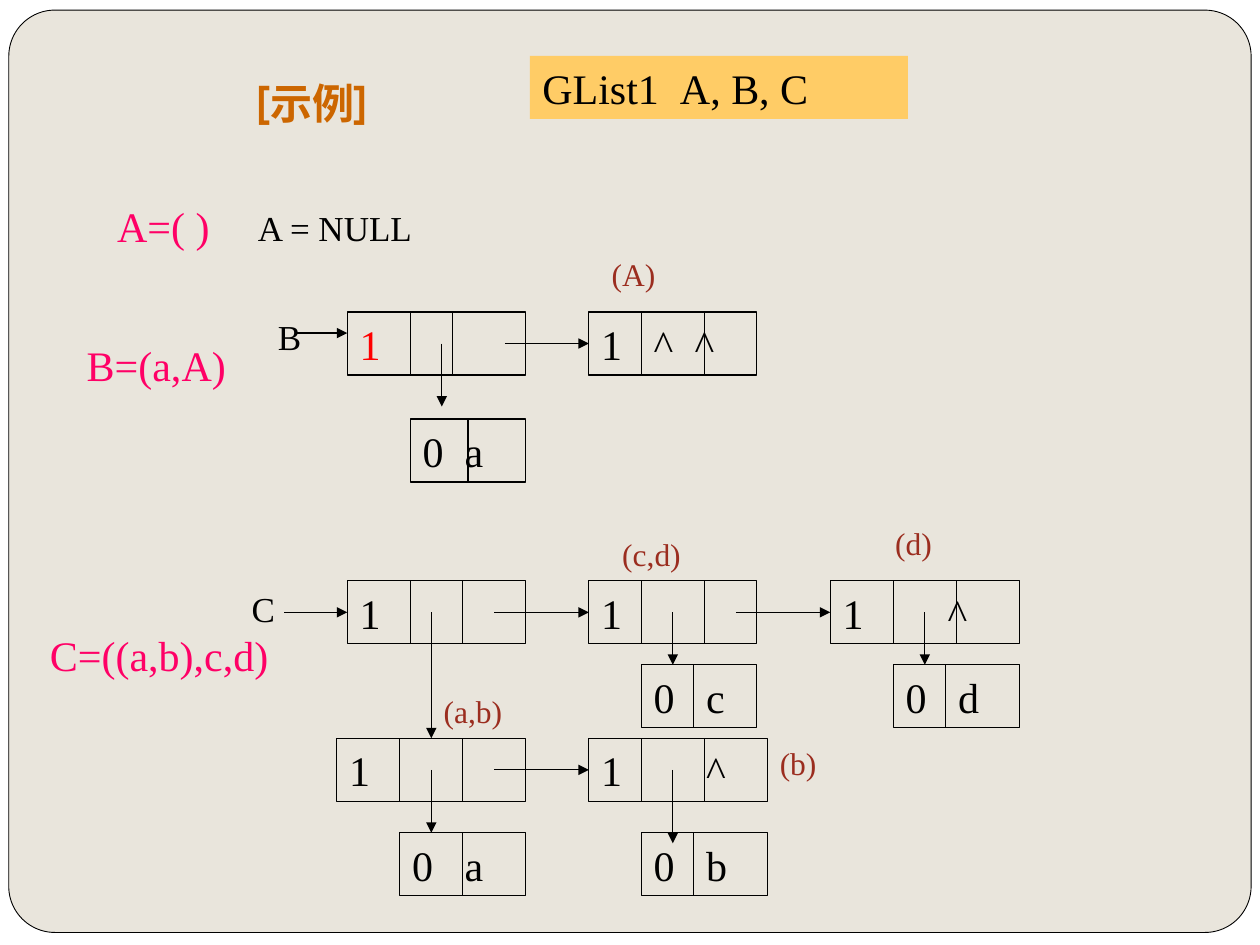
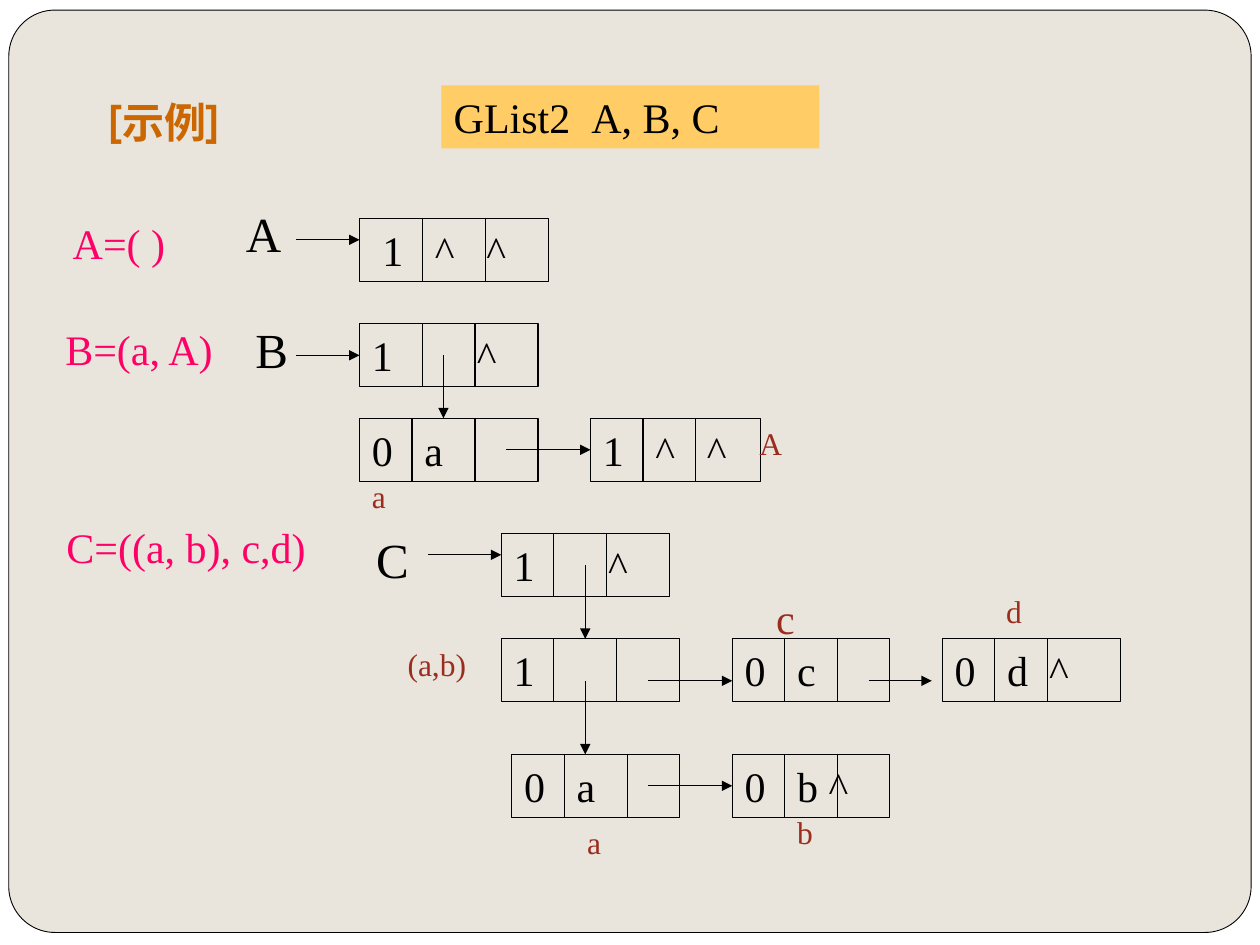
import pptx
import pptx.dml.color
import pptx.enum.shapes
import pptx.enum.text
import pptx.util
from pptx.oxml.ns import qn
from lxml import etree

COLORS = {
    "paper": "FFFFFF",
    "panel": "E9E5DC",
    "ink": "000000",
    "heading": "CC6600",
    "banner": "FFCC66",
    "formula": "FF0066",
    "sublist": "9B2D1F",
    "header_tag": "FF0000",
}
BODY_FONT = "Times New Roman"
TITLE_FONT = "Karla"
SLIDE_WIDTH, SLIDE_HEIGHT = 10, 7.5
UNITS_PER_INCH = 12
NODE_HEIGHT = 6
LINE_WIDTH = 0.75


def color(name):
    return pptx.dml.color.RGBColor.from_string(COLORS[name])


def units(value):
    return pptx.util.Inches(value / UNITS_PER_INCH)


class Board:
    def __init__(self, deck, left, top):
        self.slide = deck.slides.add_slide(deck.slide_layouts[6])
        self.left, self.top = pptx.util.Inches(left), pptx.util.Inches(top)
        background = self.slide.background.fill
        background.solid()
        background.fore_color.rgb = color("paper")
        self.add_panel()

    def place(self, column, row):
        return self.left + units(column), self.top + units(row)

    def add_panel(self):
        margin_x, margin_y = 0.007 * SLIDE_WIDTH, 0.0107 * SLIDE_HEIGHT
        panel = self.slide.shapes.add_shape(
            pptx.enum.shapes.MSO_SHAPE.ROUNDED_RECTANGLE,
            pptx.util.Inches(margin_x), pptx.util.Inches(margin_y),
            pptx.util.Inches(SLIDE_WIDTH - 2 * margin_x),
            pptx.util.Inches(0.976 * SLIDE_HEIGHT))
        panel.adjustments[0] = 0.05
        style_box(panel, "panel", 0.5)

    def box(self, column, row, width, fill=None, line=None):
        rectangle = self.slide.shapes.add_shape(
            pptx.enum.shapes.MSO_SHAPE.RECTANGLE,
            *self.place(column, row), units(width), units(NODE_HEIGHT))
        style_box(rectangle, fill, line)
        return rectangle

    def line(self, start, end, arrow=False):
        connector = self.slide.shapes.add_connector(
            pptx.enum.shapes.MSO_CONNECTOR.STRAIGHT,
            *self.place(*start), *self.place(*end))
        connector.line.color.rgb = color("ink")
        connector.line.width = pptx.util.Pt(LINE_WIDTH)
        if arrow:
            outline = connector.line._get_or_add_ln()
            etree.SubElement(outline, qn("a:tailEnd"), type="triangle")
        etree.SubElement(connector._element.spPr, qn("a:effectLst"))

    def right(self, column, row, length):
        self.line((column, row), (column + length, row), arrow=True)

    def down(self, column, row, length):
        self.line((column, row), (column, row + length), arrow=True)

    def node(self, column, row, width, text, dividers, tabs=(), tone="ink"):
        write(self.box(column, row, width, line=LINE_WIDTH), text, 24, tone, tabs)
        for offset in dividers:
            x = column + offset
            self.line((x, row), (x, row + NODE_HEIGHT))

    def label(self, column, row, text, tone, size, width=18):
        caption = self.slide.shapes.add_textbox(
            *self.place(column, row), units(width), units(NODE_HEIGHT))
        write(caption, text, size, tone)
        return caption

    def heading(self, column, row):
        caption = self.label(column, row, "[示例]", "heading", 24)
        caption.height = units(9)
        caption.text_frame.vertical_anchor = pptx.enum.text.MSO_ANCHOR.MIDDLE
        font = caption.text_frame.paragraphs[0].font
        font.name, font.bold = TITLE_FONT, True

    def banner(self, column, row, type_name):
        write(self.box(column, row, 36, fill="banner"),
              f"{type_name}\tA, B, C", 24, "ink", (13.1,))


def style_box(shape, fill=None, line=None):
    shape.shadow.inherit = False
    if fill:
        shape.fill.solid()
        shape.fill.fore_color.rgb = color(fill)
    else:
        shape.fill.background()
    if line:
        shape.line.color.rgb = color("ink")
        shape.line.width = pptx.util.Pt(line)
    else:
        shape.line.fill.background()


def write(shape, text, size, tone, tabs=()):
    frame = shape.text_frame
    frame.word_wrap = True
    frame.vertical_anchor = pptx.enum.text.MSO_ANCHOR.TOP
    paragraph = frame.paragraphs[0]
    paragraph.text = text
    paragraph.alignment = pptx.enum.text.PP_ALIGN.LEFT
    if tabs:
        stops = etree.SubElement(paragraph._p.get_or_add_pPr(), qn("a:tabLst"))
        for stop in tabs:
            etree.SubElement(stops, qn("a:tab"), pos=str(int(units(stop))), algn="l")
    font = paragraph.font
    font.name, font.size = BODY_FONT, pptx.util.Pt(size)
    font.color.rgb = color(tone)


def draw_all(method, rows):
    for row in rows:
        method(*row)


def first_structure(deck):
    board = Board(deck, 0.09, 0.11)
    board.heading(22.1, 4)
    b_row, b_atoms, c_row, c_atoms, ab_row, ab_atoms = 28.4, 38.6, 54, 62, 69, 78
    draw_all(board.node, [
        (32, b_row, 17, "1", (6, 10), (), "header_tag"),
        (55, b_row, 16, "1\t^\t^", (5, 11), (5, 8.9)),
        (38, b_atoms, 11, "0\ta", (5.5,), (4,)),
        (32, c_row, 17, "1", (6, 11)),
        (55, c_row, 16, "1", (5, 11)),
        (78, c_row, 18, "1\t^", (6, 12), (10,)),
        (60, c_atoms, 11, "0\tc", (5,), (5,)),
        (84, c_atoms, 12, "0\td", (5,), (5,)),
        (31, ab_row, 18, "1", (6, 12)),
        (55, ab_row, 17, "1\t^", (5, 11), (10,)),
        (37, ab_atoms, 12, "0\ta", (6,), (5,)),
        (60, ab_atoms, 12, "0\tb", (5,), (5,)),
    ])
    draw_all(board.right, [
        (27, b_row + 2, 5), (47, b_row + 3, 8),
        (26, c_row + 3, 6), (46, c_row + 3, 9), (69, c_row + 3, 9),
        (46, ab_row + 3, 9),
    ])
    draw_all(board.down, [
        (41, b_row + 3, 6),
        (40, c_row + 3, 12), (63, c_row + 3, 5), (87, c_row + 3, 5),
        (40, ab_row + 3, 6), (63, ab_row + 3, 7),
    ])
    draw_all(board.label, [
        (8.9, 17.2, "A=( )", "formula", 24, 12),
        (22.3, 17.8, "A = NULL", "ink", 20),
        (6, 30.4, "B=(a,A)", "formula", 24),
        (2.5, 58, "C=((a,b),c,d)", "formula", 24, 25),
        (24.2, 28.1, "B", "ink", 20, 5),
        (21.7, c_row, "C", "ink", 20, 5),
        (56, 22.4, "(A)", "sublist", 18, 11),
        (40, 64, "(a,b)", "sublist", 18, 13),
        (57, 49, "(c,d)", "sublist", 18, 13),
        (83, 48, "(d)", "sublist", 18, 8),
        (72, ab_row, "(b)", "sublist", 18, 10),
    ])
    board.banner(49.4, 4, "GList1")


def second_structure(deck):
    board = Board(deck, 0.02, 0.07)
    board.heading(8.8, 6.2)
    a_row, b_row, b_items, c_row, c_items, ab_items = 20, 30, 39, 50, 60, 71
    draw_all(board.node, [
        (34, a_row, 18, "\t1\t^\t^", (6, 12), (1, 6, 10.9)),
        (34, b_row, 17, "1\t^", (6, 11), (10,)),
        (34, b_items, 17, "0\ta", (5, 11), (5,)),
        (56, b_items, 16.2, "1\t^\t^", (5, 10), (5, 9.9)),
        (47.5, c_row, 16, "1\t^", (5, 10), (9,)),
        (47.5, c_items, 17, "1", (5, 11)),
        (69.5, c_items, 15, "0\tc", (5, 10), (5,)),
        (89.5, c_items, 17, "0\td\t^", (5, 10), (5, 9)),
        (48.5, ab_items, 16, "0\ta", (5, 11), (5,)),
        (69.5, ab_items, 15, "0\tb ^", (5, 10), (5,)),
    ])
    draw_all(board.right, [
        (28, a_row + 2, 6), (28, b_row + 3, 6), (48, b_items + 3, 8),
        (40.5, c_row + 2, 7), (61.5, c_items + 4, 8), (82.5, c_items + 4, 6),
        (61.5, ab_items + 3, 8),
    ])
    draw_all(board.down, [
        (42, b_row + 3, 6), (55.5, c_row + 3, 7), (55.5, c_items + 4, 7),
    ])
    draw_all(board.label, [
        (5.5, 19.3, "A=( )", "formula", 24, 15),
        (4.8, 29.4, "B=(a, A)", "formula", 24),
        (4.9, 48.2, "C=((a, b), c,d)", "formula", 24, 28),
        (22, 18, "A", "ink", 28, 8),
        (22.9, 29, "B", "ink", 28, 8),
        (34.4, 49, "C", "ink", 28, 8),
        (34, 44, "a", "sublist", 18, 7),
        (70.9, b_items, "A", "sublist", 18, 7),
        (37.4, c_items, "(a,b)", "sublist", 18, 11),
        (72.5, 55, "c", "sublist", 24, 8),
        (94.4, 55, "d", "sublist", 18, 6),
        (54.5, 77, "a", "sublist", 18, 8),
        (74.5, 76, "b", "sublist", 18, 8),
    ])
    board.banner(41.8, 7.3, "GList2")


def main():
    deck = pptx.Presentation()
    deck.slide_width = pptx.util.Inches(SLIDE_WIDTH)
    deck.slide_height = pptx.util.Inches(SLIDE_HEIGHT)
    first_structure(deck)
    second_structure(deck)
    deck.save("out.pptx")


if __name__ == "__main__":
    main()
